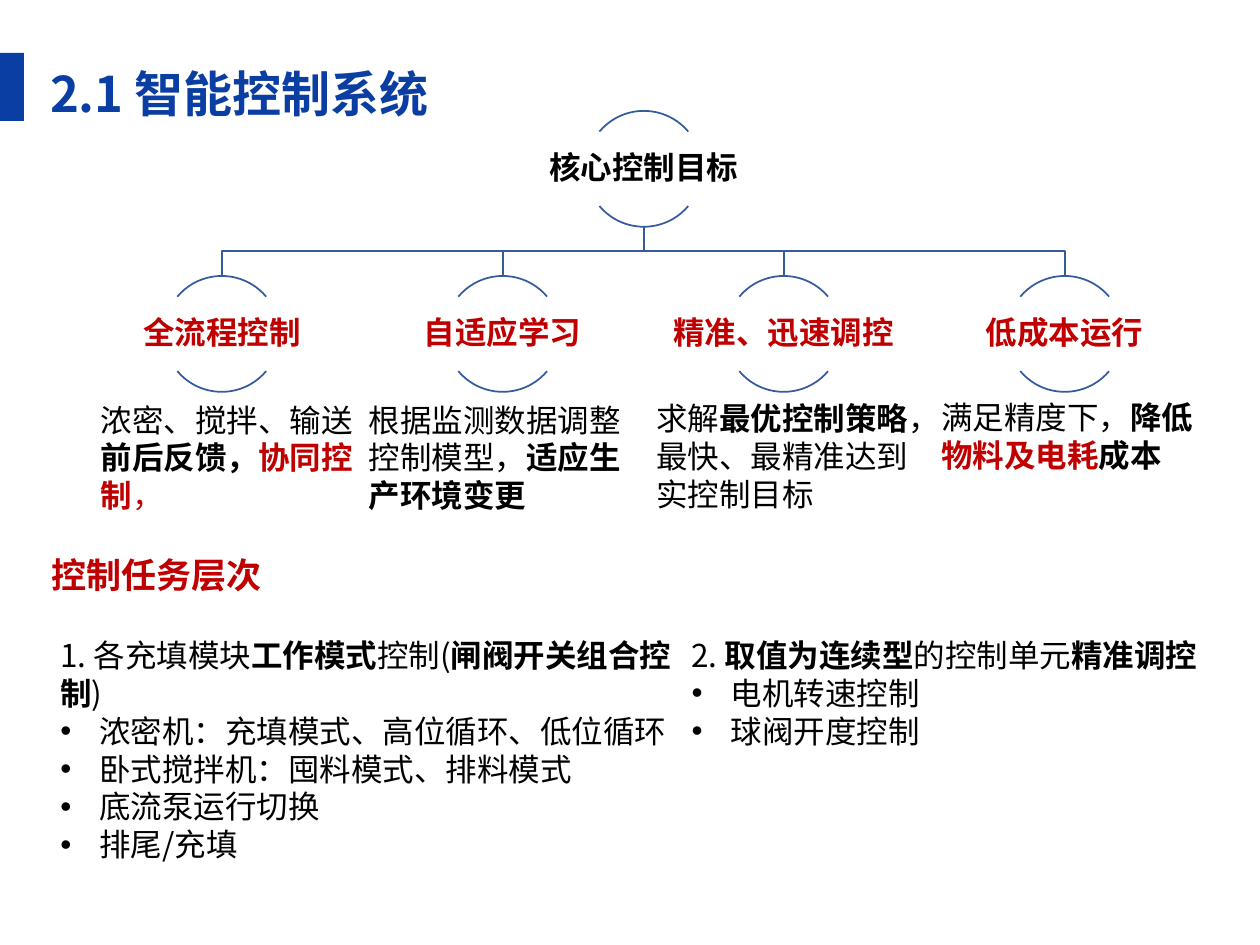
from lxml.etree import SubElement
from pptx import Presentation
from pptx.dml.color import RGBColor
from pptx.enum.shapes import MSO_SHAPE as Shape
from pptx.enum.text import MSO_ANCHOR as Anchor, PP_ALIGN as Align
from pptx.oxml.ns import qn
from pptx.util import Inches, Pt

COLUMNS, ROWS = 100, 75
WIDTH, HEIGHT = Inches(10), Inches(7.5)
FONT = "Noto Sans CJK SC"
COLORS = {"title": "0B3EA2", "line": "365B9D", "accent": "C00000", "text": "000000"}
CIRCLE, LABEL_WIDTH, LABEL_HEIGHT = 9.2, 18.5, 5.9
ROOT_CENTER, ROOT_TOP, CHILD_TOP = 51.1, 8.8, 21.9
FIRST_CENTER, CENTER_STEP = 17.6, 22.3

GOALS = [
    ("全流程控制", (7, 31.3, 22.5, 10.1),
     [("浓密、搅拌、输送", ""), ("前后反馈，", "b"), ("协同控制", "br"), ("，", "r")]),
    ("自适应学习", (28.3, 31.3, 22.5, 10.2),
     [("根据监测数据调整控制模型，", ""), ("适应生产环境变更", "b")]),
    ("精准、迅速调控", (51.1, 31.2, 22.6, 10.1),
     [("求解", ""), ("最优控制策略", "b"), ("，最快、最精准达到实控制目标", "")]),
    ("低成本运行", (73.7, 31.1, 22.1, 7.1),
     [("满足精度下，", ""), ("降低", "b"), ("物料及电耗", "br"), ("成本", "b")]),
]
TASKS = [
    ((3.8, 50, 51.1, 23.2),
     [("1. 各充填模块", ""), ("工作模式", "b"), ("控制(", ""), ("闸阀开关组合控制", "b"), (")", "")],
     ["浓密机：充填模式、高位循环、低位循环", "卧式搅拌机：囤料模式、排料模式",
      "底流泵运行切换", "排尾/充填"]),
    ((53.9, 50, 50, 10.1),
     [("2. ", ""), ("取值为连续型", "b"), ("的控制单元", ""), ("精准调控", "b")],
     ["电机转速控制", "球阀开度控制"]),
]


def place(box):
    """Turn a box in grid columns and rows into slide lengths."""
    left, top, width, height = box
    return (round(WIDTH * left / COLUMNS), round(HEIGHT * top / ROWS),
            round(WIDTH * width / COLUMNS), round(HEIGHT * height / ROWS))


def color(name):
    """Return a palette colour."""
    return RGBColor.from_string(COLORS[name])


def style_font(font, size, color_name, bold=None):
    """Set size, colour, weight and the Latin typeface of a font."""
    font.name, font.size, font.bold = FONT, Pt(size), bold
    font.color.rgb = color(color_name)


def set_east_asian(properties):
    """Name the typeface for East Asian text after the Latin one."""
    latin = properties.find(qn("a:latin"))
    typeface = properties.makeelement(qn("a:ea"), {"typeface": FONT})
    latin.addnext(typeface)


def write_runs(paragraph, runs, size=18, color_name="text"):
    """Write runs whose marks are b for bold and r for the accent colour."""
    style_font(paragraph.font, size, color_name)
    for text, marks in runs:
        run = paragraph.add_run()
        run.text = text
        style_font(run.font, size, "accent" if "r" in marks else color_name, "b" in marks)
        set_east_asian(run.font._element if hasattr(run.font, "_element") else run._r.get_or_add_rPr())


def add_text(slide, box, runs, size=18, color_name="text", wrap=True):
    """Add a text box with one paragraph and return its frame."""
    frame = slide.shapes.add_textbox(*place(box)).text_frame
    frame.word_wrap = wrap
    write_runs(frame.paragraphs[0], runs, size, color_name)
    return frame


def add_header(slide, box):
    """Add the title and the bar at its left."""
    left, top, width, height = box
    frame = add_text(slide, (left + 3, top, width, height),
                     [("2.1 智能控制系统", "b")], 28, "title")
    frame.paragraphs[0].line_spacing = 1.2
    bar = slide.shapes.add_shape(Shape.RECTANGLE, *place((left, top + 0.6, 1.9, 5.4)))
    bar.shadow.inherit = False
    bar.fill.solid()
    bar.fill.fore_color.rgb = color("title")
    bar.line.fill.background()


def style_outline(shape):
    """Leave a shape with a thin line only."""
    shape.shadow.inherit = False
    shape.fill.background()
    shape.line.color.rgb = color("line")
    shape.line.width = Pt(1)


def add_branch(slide, start, end):
    """Join a parent and a child with a line that bends halfway."""
    (start_x, start_y), (end_x, end_y) = start, end
    middle = (start_y + end_y) / 2
    points = [place((x, y, 0, 0))[:2] for x, y in
              [start, (start_x, middle), (end_x, middle), end]]
    builder = slide.shapes.build_freeform(*points[0])
    builder.add_line_segments(points[1:], close=False)
    style_outline(builder.convert_to_shape())


def add_node(slide, center, top, label, color_name):
    """Add a label between an upper and a lower arc."""
    for angles in ((132, 192), (24, 84)):
        arc = slide.shapes.add_shape(
            Shape.ARC, *place((center - CIRCLE / 2, top, CIRCLE, CIRCLE)))
        arc.adjustments[0], arc.adjustments[1] = angles
        style_outline(arc)
    box = (center - LABEL_WIDTH / 2, top + (CIRCLE - LABEL_HEIGHT) / 2,
           LABEL_WIDTH, LABEL_HEIGHT)
    frame = add_text(slide, box, [(label, "b")], color_name=color_name)
    frame.vertical_anchor = Anchor.MIDDLE
    frame.margin_left = frame.margin_right = Inches(0.01)
    frame.margin_top = frame.margin_bottom = Inches(0.01)
    frame.paragraphs[0].alignment = Align.CENTER
    frame.paragraphs[0].line_spacing = 0.9


def add_goal_tree(slide):
    """Add the tree of control goals and the note under each goal."""
    centers = [FIRST_CENTER + CENTER_STEP * index for index in range(len(GOALS))]
    for center in reversed(centers):
        add_branch(slide, (ROOT_CENTER, ROOT_TOP + CIRCLE), (center, CHILD_TOP))
    add_node(slide, ROOT_CENTER, ROOT_TOP, "核心控制目标", "text")
    for center, (label, box, runs) in zip(centers, GOALS):
        add_node(slide, center, CHILD_TOP, label, "accent")
        add_text(slide, box, runs)


def add_task_list(slide, box, heading, items):
    """Add a heading followed by bulleted items."""
    frame = add_text(slide, box, heading)
    for item in items:
        paragraph = frame.add_paragraph()
        properties = paragraph._p.get_or_add_pPr()
        properties.set("marL", str(Inches(0.31)))
        properties.set("indent", str(-Inches(0.31)))
        SubElement(properties, qn("a:buFont"), typeface="Arial")
        SubElement(properties, qn("a:buChar"), char="•")
        write_runs(paragraph, [(item, "")])


def main():
    """Build and save the slide."""
    presentation = Presentation()
    presentation.slide_width, presentation.slide_height = WIDTH, HEIGHT
    slide = presentation.slides.add_slide(presentation.slide_layouts[6])
    add_header(slide, (0, 3.6, 32.7, 6.2))
    add_goal_tree(slide)
    add_text(slide, (3.1, 43.4, 18.8, 4.4), [("控制任务层次", "b")], 20, "accent", wrap=False)
    for box, heading, items in TASKS:
        add_task_list(slide, box, heading, items)
    presentation.save("out.pptx")


if __name__ == "__main__":
    main()
